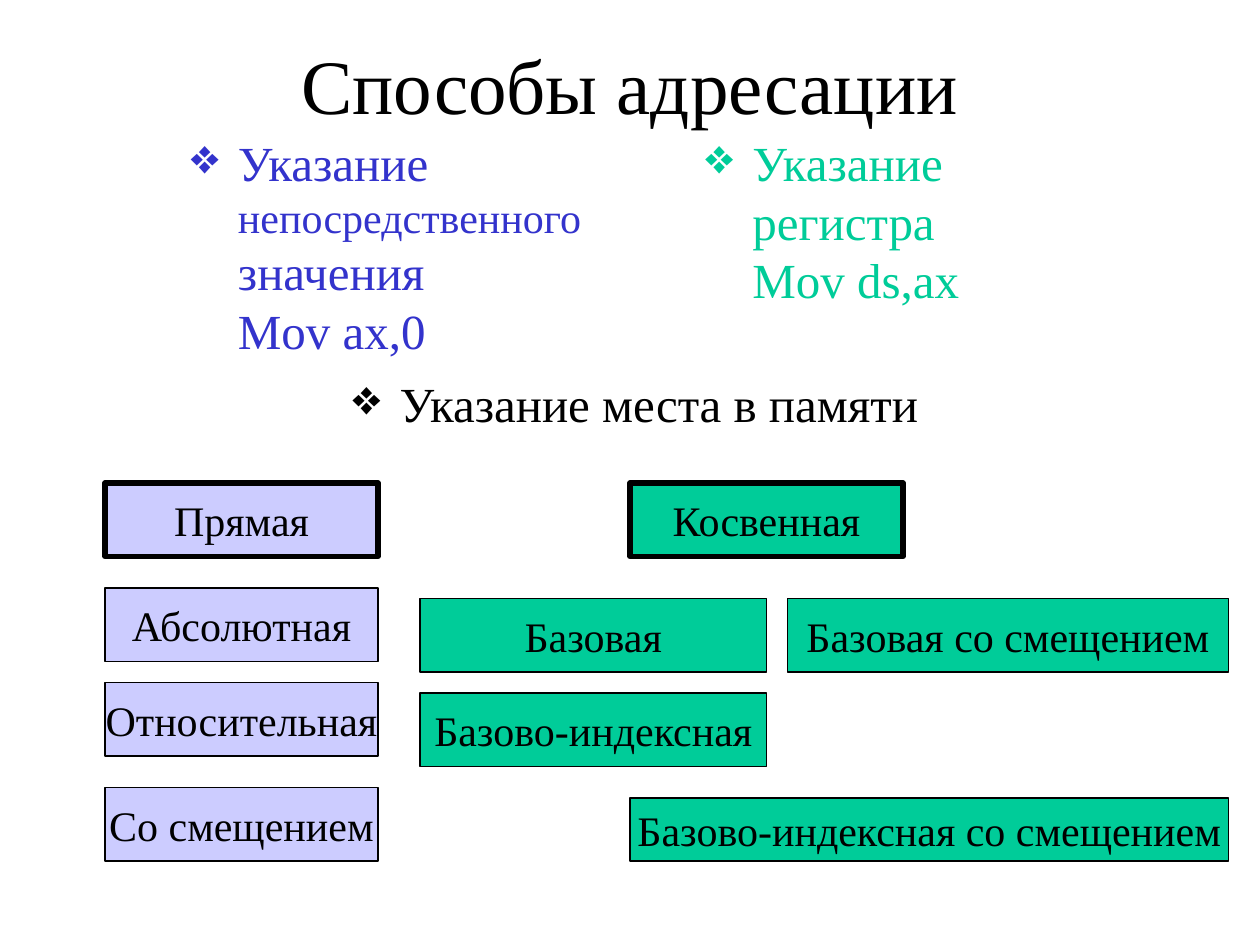
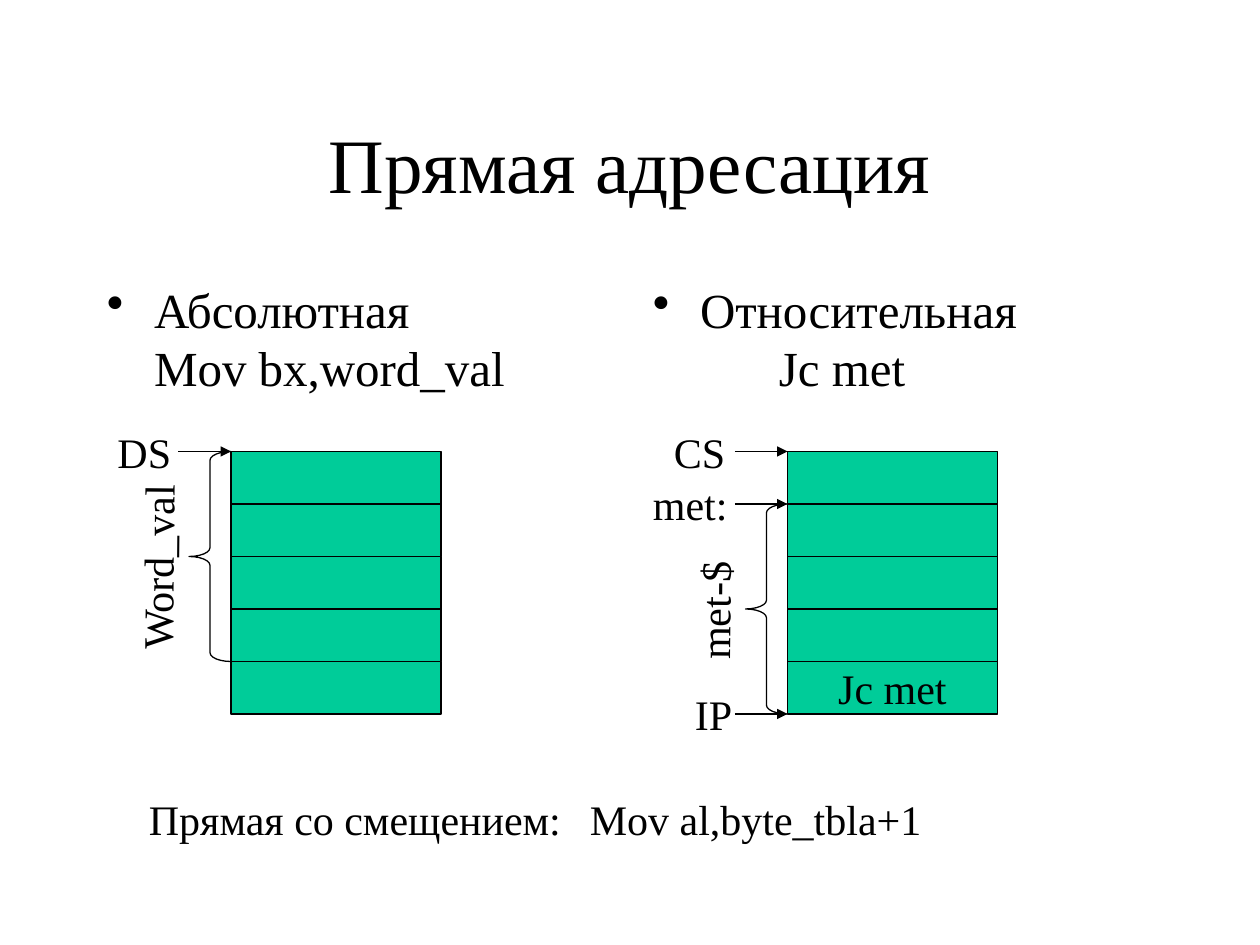
import pptx
import pptx.util
import pptx.dml.color
import pptx.enum.shapes
import pptx.enum.text
import pptx.oxml.ns
from lxml import etree

# Shared look; positions are counted in twelfths of an inch
UNIT_CM = 2.54 / 12
FONT = "Times New Roman"
BLACK, BLUE, GREEN, LILAC = "000000", "3333CC", "00CC99", "CCCCFF"
THIN, THICK = 0.75, 3
CELL_WIDTH, CELL_HEIGHT, CELL_COUNT = 20, 5, 5
MEMORY_TOP = 43
CENTER = pptx.enum.text.PP_ALIGN.CENTER
MIDDLE = pptx.enum.text.MSO_ANCHOR.MIDDLE
SHAPES = pptx.enum.shapes.MSO_SHAPE


def units(*counts):
    return [pptx.util.Cm(count * UNIT_CM) for count in counts]


def color(hex_value):
    return pptx.dml.color.RGBColor.from_string(hex_value)


def add_xml(parent, tag, **attributes):
    return etree.SubElement(parent, pptx.oxml.ns.qn(tag), attributes)


def style(paragraph, size, hex_value=BLACK, before=0):
    paragraph.font.name = FONT
    paragraph.font.size = pptx.util.Pt(size)
    paragraph.font.color.rgb = color(hex_value)
    paragraph.space_before = pptx.util.Pt(before)


def set_line(shape, weight=THIN):
    shape.line.color.rgb = color(BLACK)
    shape.line.width = pptx.util.Pt(weight)


# Text elements
def add_text(slide, place, text, size, hex_value=BLACK, before=0):
    box = slide.shapes.add_textbox(*units(*place))
    box.text_frame.word_wrap = True
    paragraph = box.text_frame.paragraphs[0]
    paragraph.text = text
    style(paragraph, size, hex_value, before)
    return box


def add_title(slide, top, height, text):
    title = add_text(slide, (9, top, 102, height), text, 44)
    title.text_frame.vertical_anchor = MIDDLE
    title.text_frame.paragraphs[0].alignment = CENTER


def add_bullet(slide, place, text, mark, hex_value=BLACK):
    box = add_text(slide, place, text, 28, hex_value, before=7)
    paragraph = box.text_frame.paragraphs[0]
    properties = paragraph._p.get_or_add_pPr()
    indent = pptx.util.Cm(0.95)
    properties.set("marL", str(indent))
    properties.set("indent", str(-indent))
    # Bullet and tab stop come before the default run properties
    defaults = properties.find(pptx.oxml.ns.qn("a:defRPr"))
    add_xml(add_xml(properties, "a:buClr"), "a:srgbClr", val=hex_value)
    add_xml(properties, "a:buChar", char=mark)
    add_xml(add_xml(properties, "a:tabLst"), "a:tab",
            pos=str(pptx.util.Cm(2.54)), algn="l")
    properties.append(defaults)
    return paragraph


def add_label(slide, place, text, rotation=0):
    label = add_text(slide, place, text, 24, before=15)
    label.rotation = rotation


# Drawn elements
def add_block(slide, place, text="", fill=GREEN, weight=THIN):
    block = slide.shapes.add_shape(SHAPES.RECTANGLE, *units(*place))
    block.shadow.inherit = False
    block.fill.solid()
    block.fill.fore_color.rgb = color(fill)
    set_line(block, weight)
    if text:
        block.text_frame.word_wrap = False
        block.text_frame.vertical_anchor = MIDDLE
        paragraph = block.text_frame.paragraphs[0]
        paragraph.text = text
        paragraph.alignment = CENTER
        style(paragraph, 24)


def add_arrow(slide, end_x, y):
    arrow = slide.shapes.add_connector(
        pptx.enum.shapes.MSO_CONNECTOR.STRAIGHT, *units(end_x - 5, y, end_x, y))
    set_line(arrow)
    add_xml(arrow.line._get_or_add_ln(), "a:tailEnd", type="triangle")
    add_xml(arrow._element.spPr, "a:effectLst")


def add_brace(slide, right, top):
    brace = slide.shapes.add_shape(
        SHAPES.LEFT_BRACE, *units(right - 4, top, 4, 4 * CELL_HEIGHT))
    brace.shadow.inherit = False
    brace.fill.background()
    brace.adjustments[0] = 0.21
    set_line(brace)


def add_memory(slide, left, arrow_rows, brace_row, last_text=""):
    for row in range(CELL_COUNT):
        text = last_text if row == CELL_COUNT - 1 else ""
        add_block(slide, (left, MEMORY_TOP + row * CELL_HEIGHT,
                          CELL_WIDTH, CELL_HEIGHT), text)
    for row in arrow_rows:
        add_arrow(slide, left, MEMORY_TOP + row * CELL_HEIGHT)
    add_brace(slide, left, MEMORY_TOP + brace_row * CELL_HEIGHT)


# Slides
def build_modes(slide):
    add_title(slide, 4, 8, "Способы адресации")
    immediate = add_bullet(slide, (17, 12, 41, 24), "Указание ", "❖", BLUE)
    long_word = immediate.add_run()
    long_word.text = "непосредственного "
    long_word.font.size = pptx.util.Pt(24)
    immediate.add_run().text = "значения"
    immediate.add_line_break()
    immediate.add_run().text = "Mov ax,0"
    add_bullet(slide, (66, 12, 31, 20), "Указание регистра\nMov ds,ax", "❖", GREEN)
    memory = add_bullet(slide, (8, 35, 105, 34), "Указание места в памяти", "❖")
    memory.alignment = CENTER

    add_block(slide, (10, 46, 26, 7), "Прямая", LILAC, THICK)
    add_block(slide, (60, 46, 26, 7), "Косвенная", GREEN, THICK)
    for top, text in ((56, "Абсолютная"), (65, "Относительная"), (75, "Со смещением")):
        add_block(slide, (10, top, 26, 7), text, LILAC)
    for place, text in (
        ((40, 57, 33, 7), "Базовая"),
        ((75, 57, 42, 7), "Базовая со смещением"),
        ((40, 66, 33, 7), "Базово-индексная"),
        ((60, 76, 57, 6), "Базово-индексная со смещением"),
    ):
        add_block(slide, place, text)


def build_direct(slide):
    add_title(slide, 8, 15, "Прямая адресация")
    add_bullet(slide, (9, 26, 50, 54), "Абсолютная\nMov bx,word_val", "•")
    add_bullet(slide, (61, 26, 50, 54), "Относительная\n\tJc met", "•")

    add_memory(slide, 22, arrow_rows=(0,), brace_row=0)
    add_memory(slide, 75, arrow_rows=(0, 1, 5), brace_row=1, last_text="Jc met")

    for place, text in (
        ((10, 40, 9, 6), "DS"),
        ((63, 40, 9, 6), "CS"),
        ((61, 45, 11, 6), "met:"),
        ((65, 65, 6, 6), "IP"),
        ((13, 75, 97, 6), "Прямая со смещением:\tMov al,byte_tbla+1"),
    ):
        add_label(slide, place, text)
    add_label(slide, (2.5, 47.5, 25, 6), "Word_val", 270.6)
    add_label(slide, (61, 54, 14, 6), "met-$", 270.6)


def main():
    deck = pptx.Presentation()
    deck.slide_width, deck.slide_height = units(120, 90)
    for build in (build_modes, build_direct):
        build(deck.slides.add_slide(deck.slide_layouts[6]))
    deck.save("out.pptx")


if __name__ == "__main__":
    main()
